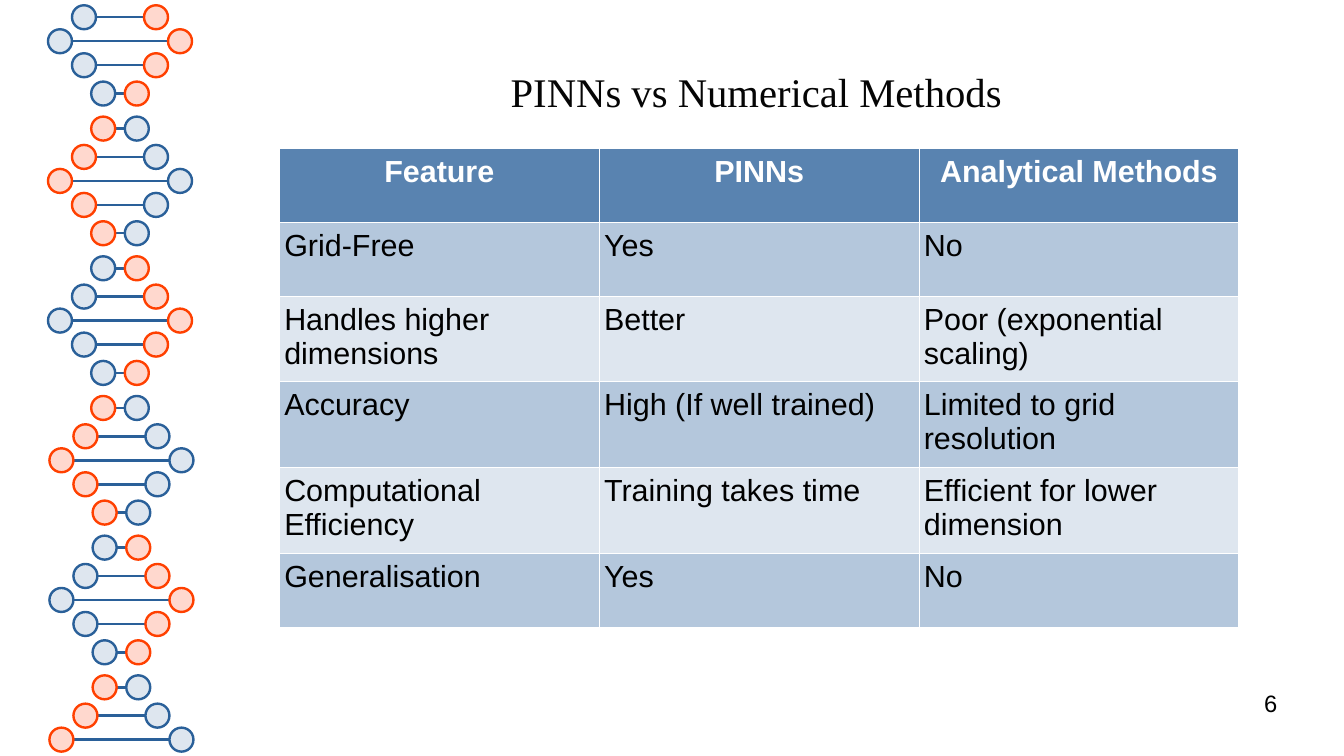
from dataclasses import dataclass

from lxml import etree
from pptx import Presentation
from pptx.dml.color import RGBColor
from pptx.enum.shapes import MSO_CONNECTOR, MSO_SHAPE
from pptx.enum.text import MSO_ANCHOR, PP_ALIGN
from pptx.oxml.ns import qn
from pptx.slide import Slide
from pptx.table import _Cell
from pptx.text.text import TextFrame
from pptx.util import Cm, Pt

STRAIGHT = MSO_CONNECTOR.STRAIGHT
OVAL = MSO_SHAPE.OVAL
TOP, MIDDLE = MSO_ANCHOR.TOP, MSO_ANCHOR.MIDDLE
LEFT, CENTER, RIGHT = PP_ALIGN.LEFT, PP_ALIGN.CENTER, PP_ALIGN.RIGHT

COLORS = {
    "blue": "2A6099", "pale blue": "DEE6EF",
    "red": "FF4000", "pale red": "FFD8CE",
    "head": "5983B0", "band": "B4C7DC",
    "ink": "050505", "black": "000000", "white": "FFFFFF",
}
WIDTH, HEIGHT = 27.99, 15.75

BALL = 0.5
STROKE = Pt(1.42)
TURNS = 6
FIRST_TURN, TURN_GAP = 0.86, 2.91
# Height from the middle of a turn, and half the gap between ball centres
STEPS = [(-1.09, 0.35), (-0.5, 0.75), (0, 1.25), (0.5, 0.75), (1.09, 0.35)]

ROWS = [
    ("Feature", "PINNs", "Analytical Methods"),
    ("Grid-Free", "Yes", "No"),
    ("Handles higher dimensions", "Better", "Poor (exponential scaling)"),
    ("Accuracy", "High (If well trained)", "Limited to grid resolution"),
    ("Computational Efficiency", "Training takes time", "Efficient for lower dimension"),
    ("Generalisation", "Yes", "No"),
]


@dataclass
class Style:
    size: int
    color: str
    align: PP_ALIGN = LEFT
    font: str = "Arial"
    bold: bool = False


@dataclass
class Label:
    text: str
    left: float
    top: float
    width: float
    height: float
    style: Style
    anchor: MSO_ANCHOR = TOP


@dataclass
class Rung:
    axis: float
    y: float
    half: float
    left: str
    right: str


LABELS = [
    Label("PINNs vs Numerical Methods", 4.5, 0.6, 22.5, 2.6,
          Style(24, "ink", CENTER, "Times New Roman"), MIDDLE),
    Label("6", 20.07, 14.35, 6.53, 1.1, Style(14, "black", RIGHT)),
]


def rgb(name: str) -> RGBColor:
    return RGBColor.from_string(COLORS[name])


def write(frame: TextFrame, text: str, style: Style) -> None:
    par = frame.paragraphs[0]
    par.alignment = style.align
    run = par.add_run()
    run.text = text
    run.font.name = style.font
    run.font.size = Pt(style.size)
    run.font.bold = style.bold
    run.font.color.rgb = rgb(style.color)


def add_label(slide: Slide, label: Label) -> None:
    box = slide.shapes.add_textbox(Cm(label.left), Cm(label.top),
                                   Cm(label.width), Cm(label.height))
    frame = box.text_frame
    frame.word_wrap = True
    frame.vertical_anchor = label.anchor
    frame.margin_left = frame.margin_right = 0
    frame.margin_top = frame.margin_bottom = 0
    write(frame, label.text, label.style)


def add_ball(slide: Slide, x: float, y: float, hue: str) -> None:
    ball = slide.shapes.add_shape(OVAL, Cm(x - BALL / 2), Cm(y - BALL / 2),
                                  Cm(BALL), Cm(BALL))
    ball.shadow.inherit = False
    ball.fill.solid()
    ball.fill.fore_color.rgb = rgb("pale " + hue)
    ball.line.color.rgb = rgb(hue)
    ball.line.width = STROKE


def add_rung(slide: Slide, rung: Rung) -> None:
    reach = rung.half - BALL / 2
    bar = slide.shapes.add_connector(STRAIGHT, Cm(rung.axis - reach), Cm(rung.y),
                                     Cm(rung.axis + reach), Cm(rung.y))
    bar.line.color.rgb = rgb("blue")
    bar.line.width = STROKE
    etree.SubElement(bar._element.spPr, qn("a:effectLst"))
    add_ball(slide, rung.axis - rung.half, rung.y, rung.left)
    add_ball(slide, rung.axis + rung.half, rung.y, rung.right)


def make_rungs() -> list[Rung]:
    """Swap the strand colours at each turn; keep only rungs that fit the slide."""
    rungs = []
    for turn in range(TURNS):
        left, right = ("red", "blue") if turn % 2 else ("blue", "red")
        for shift, half in STEPS:
            y = FIRST_TURN + turn * TURN_GAP + shift
            if BALL / 2 <= y <= HEIGHT - BALL / 2:
                axis = 2.5 if y < 9 else 2.53
                rungs.append(Rung(axis, y, half, left, right))
    return rungs


def add_border(cell: _Cell) -> None:
    props = cell._tc.get_or_add_tcPr()
    for side in ("lnL", "lnR", "lnT", "lnB"):
        line = etree.SubElement(props, qn("a:" + side), w=str(Pt(0.57)))
        fill = etree.SubElement(line, qn("a:solidFill"))
        etree.SubElement(fill, qn("a:srgbClr"), val=COLORS["white"])


def add_grid(slide: Slide) -> None:
    count, across = len(ROWS), len(ROWS[0])
    wide, high = 6.66, 1.54
    table = slide.shapes.add_table(count, across, Cm(5.82), Cm(3.09),
                                   Cm(across * wide), Cm(count * high)).table
    for col in table.columns:
        col.width = Cm(wide)
    head = Style(18, "white", CENTER, bold=True)
    body = Style(18, "black")
    for r, texts in enumerate(ROWS):
        table.rows[r].height = Cm(high)
        shade = "head" if r == 0 else "band" if r % 2 else "pale blue"
        for c, text in enumerate(texts):
            cell = table.cell(r, c)
            cell.margin_left = cell.margin_right = Cm(0.1)
            cell.margin_top = cell.margin_bottom = Cm(0.13)
            add_border(cell)
            cell.fill.solid()
            cell.fill.fore_color.rgb = rgb(shade)
            write(cell.text_frame, text, body if r else head)


def main() -> None:
    deck = Presentation()
    deck.slide_width, deck.slide_height = Cm(WIDTH), Cm(HEIGHT)
    slide = deck.slides.add_slide(deck.slide_layouts[6])
    for rung in make_rungs():
        add_rung(slide, rung)
    for label in LABELS:
        add_label(slide, label)
    add_grid(slide)
    deck.save("out.pptx")


if __name__ == "__main__":
    main()
